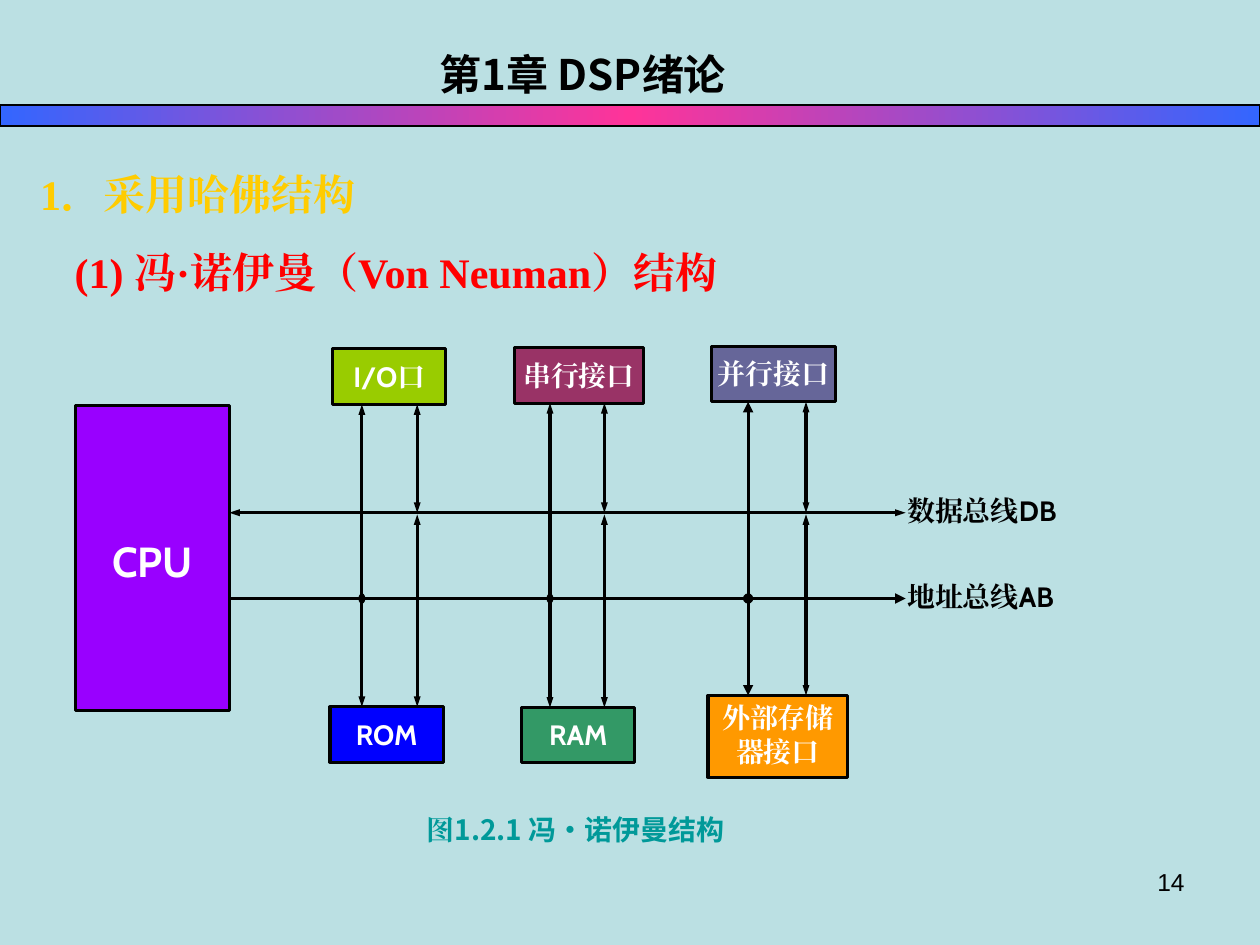
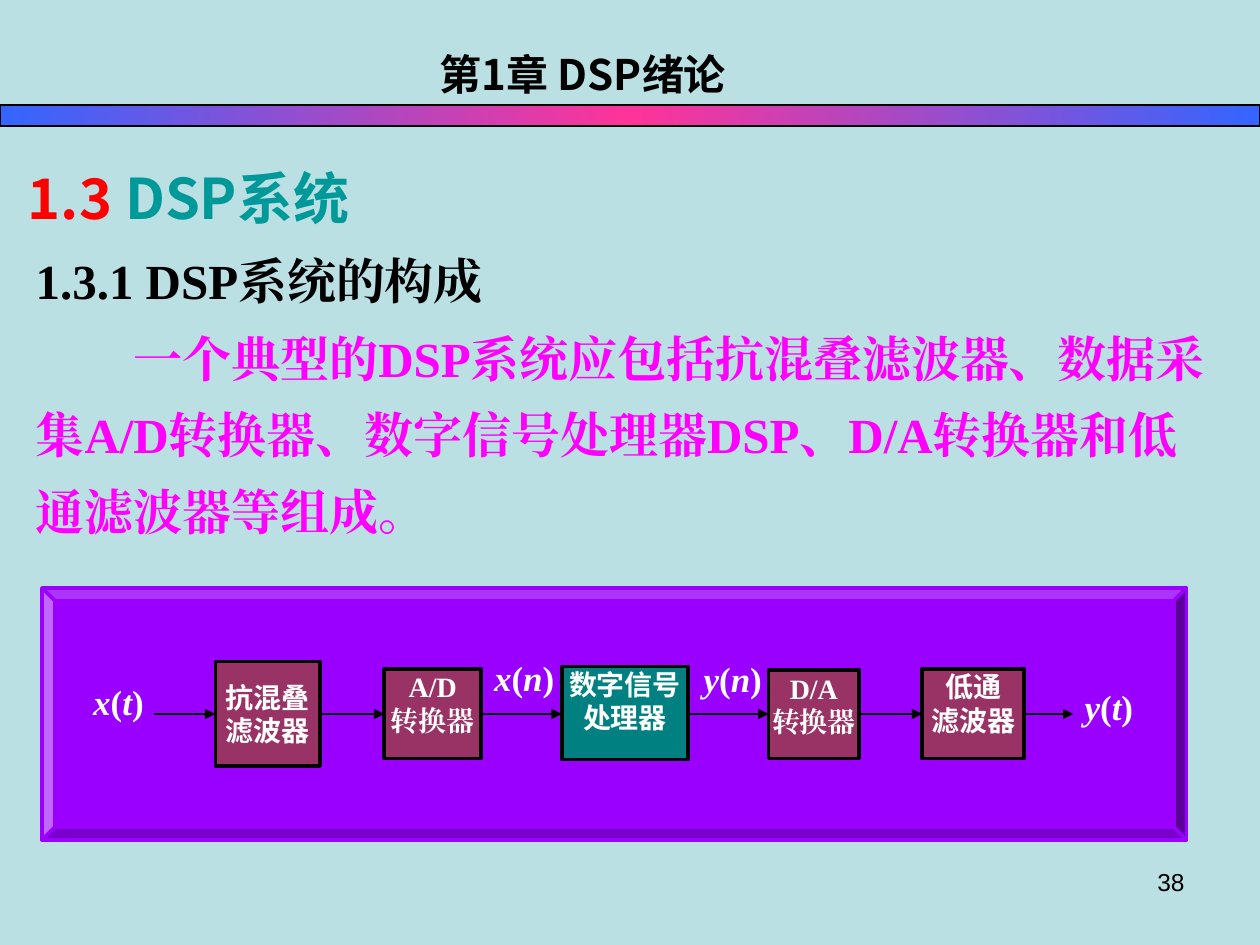
"""Build two DSP lecture slides: the von Neumann structure and a DSP system."""
import copy
import itertools

import pptx
import pptx.dml.color
import pptx.enum.shapes
import pptx.enum.text
import pptx.oxml
import pptx.oxml.ns
import pptx.util

Pt = pptx.util.Pt
qn = pptx.oxml.ns.qn
SHAPE = pptx.enum.shapes.MSO_SHAPE
ALIGN = pptx.enum.text.PP_ALIGN
ANCHOR = pptx.enum.text.MSO_ANCHOR

SANS, SERIF, LABEL, NUMBER = "Noto Sans CJK SC", "Times New Roman", "Cabin", "Arial"
BACKGROUND, BLACK, WHITE = "BBE0E3", "000000", "FFFFFF"
TEAL, RED, GOLD, MAGENTA = "009999", "FF0000", "FFCC00", "FF00FF"
PURPLE, PLUM = "9900FF", "993366"
BAND_STOPS = [(0, "3366FF"), (0.5, "FF3399"), (1, "3366FF")]
CHAPTER = "第1章 DSP绪论"
TITLE_ONLY = 5
DEFAULT_RUN = {"size": 16, "name": SERIF, "color": BLACK, "bold": True}
BOX_INSETS = (0, 6, 0, 3)


def rgb(color):
    """Turn a hex string into a colour value."""
    return pptx.dml.color.RGBColor.from_string(color)


def apply(target, values):
    """Set each attribute of target from a dict."""
    for key, value in values.items():
        setattr(target, key, value)


def format_run(run, style):
    """Give a run its font, for Latin and East Asian text alike."""
    values = {**DEFAULT_RUN, **style}
    run.font.color.rgb = rgb(values.pop("color"))
    values["size"] = Pt(values["size"])
    apply(run.font, values)
    east_asian = pptx.oxml.parse_xml(
        f'<a:ea {pptx.oxml.ns.nsdecls("a")} typeface="{values["name"]}"/>')
    run.font._element.find(qn("a:latin")).addnext(east_asian)


def write(shape, paragraphs, style, insets=(0, 0, 0, 0), align=ALIGN.LEFT,
          anchor=ANCHOR.TOP, spacing=None, indent=0):
    """Fill a shape with paragraphs, each a string or a list of (text, style) runs."""
    frame = shape.text_frame
    sides = ("margin_left", "margin_top", "margin_right", "margin_bottom")
    apply(frame, {side: Pt(inset) for side, inset in zip(sides, insets)})
    apply(frame, {"word_wrap": True, "vertical_anchor": anchor,
                  "auto_size": pptx.enum.text.MSO_AUTO_SIZE.NONE})
    for number, runs in enumerate(paragraphs):
        paragraph = frame.add_paragraph() if number else frame.paragraphs[0]
        apply(paragraph, {"alignment": align, "line_spacing": spacing})
        if indent:
            paragraph._p.get_or_add_pPr().set("indent", str(Pt(indent)))
        for text, changes in ([(runs, {})] if isinstance(runs, str) else runs):
            run = paragraph.add_run()
            run.text = text
            format_run(run, {**style, **changes})


def add_text(slide, place, paragraphs, style, **layout):
    """Add a text box at (left, top, width, height)."""
    label = slide.shapes.add_textbox(*map(Pt, place))
    write(label, paragraphs, style, **layout)


def add_box(slide, place, fill, line=BLACK, weight=1.75, kind=SHAPE.RECTANGLE):
    """Add an outlined, filled shape without shadow."""
    box = slide.shapes.add_shape(kind, *map(Pt, place))
    box.shadow.inherit = False
    box.fill.solid()
    box.fill.fore_color.rgb = rgb(fill)
    box.line.color.rgb = rgb(line)
    box.line.width = Pt(weight)
    return box


def add_block(slide, place, fill, paragraphs, weight=1.75, anchor=ANCHOR.TOP,
              insets=BOX_INSETS, **style):
    """Add a diagram block with centred white text."""
    block = add_box(slide, place, fill, weight=weight)
    write(block, paragraphs, {"color": WHITE, **style}, insets=insets,
          align=ALIGN.CENTER, anchor=anchor)


def add_line(slide, start, end, weight=1.75, head=None, tail="triangle", width="sm"):
    """Draw a straight line with optional arrowheads."""
    line = slide.shapes.add_connector(
        pptx.enum.shapes.MSO_CONNECTOR.STRAIGHT, *map(Pt, (*start, *end)))
    line.line.color.rgb = rgb(BLACK)
    line.line.width = Pt(weight)
    outline = line.line._get_or_add_ln()
    for tag, kind in (("a:headEnd", head), ("a:tailEnd", tail)):
        if kind:
            mark = outline.makeelement(qn(tag), {"type": kind, "w": width, "len": "med"})
            outline.append(mark)
    properties = line._element.spPr
    properties.append(properties.makeelement(qn("a:effectLst"), {}))


def add_band(slide):
    """Add the gradient band below the chapter title."""
    band = add_box(slide, (0, 60, 720, 12), BLACK, weight=1)
    band.fill.gradient()
    band.fill.gradient_angle = 0
    stop_list = band._element.spPr.find(".//" + qn("a:gsLst"))
    stop_list.append(copy.deepcopy(stop_list[0]))
    for stop, (position, color) in zip(band.fill.gradient_stops, BAND_STOPS):
        stop.position = position
        stop.color.rgb = rgb(color)


def add_page(deck, number):
    """Add a slide with chapter title, band and page number."""
    slide = deck.slides.add_slide(deck.slide_layouts[TITLE_ONLY])
    slide.background.fill.solid()
    slide.background.fill.fore_color.rgb = rgb(BACKGROUND)
    chapter = slide.shapes.title
    places = zip(("left", "top", "width", "height"), (192, 24, 282, 36))
    apply(chapter, {side: Pt(length) for side, length in places})
    write(chapter, [CHAPTER], {"size": 24, "name": SANS},
          insets=(7.2, 3.6, 7.2, 3.6), align=ALIGN.CENTER)
    add_band(slide)
    add_text(slide, (516, 492, 168, 37), [str(number)],
             {"size": 14, "name": NUMBER, "bold": False},
             insets=(7.2, 3.6, 7.2, 3.6), align=ALIGN.RIGHT)
    return slide


def add_buses(slide):
    """Draw CPU, both buses and the devices that hang on them."""
    data_y, address_y, bus_end = 293, 342, 517.5
    add_block(slide, (43.2, 231.8, 87.8, 174.2), PURPLE, ["CPU"],
              anchor=ANCHOR.MIDDLE, size=24, name=LABEL)
    add_line(slide, (131, data_y), (bus_end, data_y), 2, head="triangle")
    add_line(slide, (131, address_y), (bus_end, address_y), 2, width="med")
    for bus_y, name, code in ((data_y, "数据总线", "DB"), (address_y, "地址总线", "AB")):
        add_text(slide, (517, bus_y - 14, 95, 32), [[(name, {}), (code, {"name": LABEL})]],
                 {}, insets=(1.4, 3, 1.4, 3))

    columns = [
        ((190.1, 199.4, 64.8, 31.7), "99CC00", [[("I/O", {"name": LABEL}), ("口", {})]],
         (188.6, 403.9, 64.8, 31.7), "0000FF", [[("ROM", {"name": LABEL})]],
         206.8, 238.4, "sm"),
        ((293.8, 198.7, 74.2, 31.7), PLUM, ["串行接口"],
         (298.1, 404.3, 64.8, 31.7), "339966", [[("RAM", {"name": LABEL})]],
         314.3, 345.4, "sm"),
        ((406.8, 198, 70.6, 31.7), "666699", ["并行接口"],
         (404.6, 397.4, 79.9, 46.8), "FF9900", ["外部存储", "器接口"],
         427.5, 460.6, "med"),
    ]
    for (port, port_fill, port_text, memory, memory_fill, memory_text,
         address_x, data_x, head_width) in columns:
        add_block(slide, port, port_fill, port_text)
        memory_insets = BOX_INSETS if len(memory_text) == 1 else (0, 3, 0, 3)
        add_block(slide, memory, memory_fill, memory_text, insets=memory_insets)
        port_y, memory_y = port[1] + port[3], memory[1]
        add_line(slide, (data_x, port_y), (data_x, data_y), head="triangle")
        add_line(slide, (data_x, memory_y), (data_x, data_y + 1), head="triangle")
        add_line(slide, (address_x, port_y), (address_x, address_y),
                 head="triangle", tail=None, width=head_width)
        add_line(slide, (address_x, memory_y), (address_x, address_y),
                 head="triangle", tail="oval", width=head_width)


def add_signal_chain(slide):
    """Draw the processing stages, the arrows between them and the signals."""
    panel = add_box(slide, (24, 336, 654, 144), PURPLE, PURPLE, 2, SHAPE.BEVEL)
    panel.adjustments[0] = 0.05
    stages = [
        ((123.1, 378, 59.8, 59.8), PLUM, ["抗混叠", "滤波器"], SANS, ANCHOR.MIDDLE),
        ((219.6, 382.3, 55.4, 51.1), PLUM, ["A/D", "转换器"], SERIF, ANCHOR.TOP),
        ((321.1, 380.9, 72, 53.3), "008080", ["数字信号处理器"], SANS, ANCHOR.TOP),
        ((439.2, 383, 51.8, 50.4), PLUM, ["D/A", "转换器"], SERIF, ANCHOR.TOP),
        ((527, 382.3, 58.3, 51.1), PLUM, ["低通", "滤波器"], SANS, ANCHOR.TOP),
    ]
    for place, fill, lines, font, anchor in stages:
        add_block(slide, place, fill, lines, 2, anchor, (0, 0.5, 0, 0.5), name=font)
    edges = [87.8]
    for (left, _, width, _), *_ in stages:
        edges += [left, left + width]
    edges.append(613.4)
    for start, end in itertools.batched(edges, 2) if hasattr(itertools, "batched") \
            else zip(edges[::2], edges[1::2]):
        add_line(slide, (start, 408), (end, 408), 1.25, width="med")

    signals = [("x", "t", (48.2, 388, 39, 40)), ("x", "n", (272.2, 374.4, 54.7, 31)),
               ("y", "n", (394.6, 375, 48.2, 31)), ("y", "t", (607, 391, 53.3, 34))]
    italic = {"italic": True}
    for signal, variable, place in signals:
        add_text(slide, place, [[(signal, italic), ("(", {}), (variable, italic), (")", {})]],
                 {"size": 20, "color": WHITE}, insets=(1.4, 0.7, 1.4, 0.7),
                 align=ALIGN.CENTER)


def build_von_neumann(deck):
    """Build the slide on the von Neumann structure."""
    slide = add_page(deck, 14)
    add_text(slide, (0, 93, 414, 40), ["1．采用哈佛结构"], {"size": 24, "color": GOLD},
             insets=(23, 3.6, 7.2, 3.6))
    add_text(slide, (0, 126, 684, 47.5), ["(1) 冯·诺伊曼（Von Neuman）结构"],
             {"size": 24, "color": RED}, insets=(42.7, 3.6, 7.2, 3.6), spacing=1.4)
    add_buses(slide)
    add_text(slide, (244, 461.5, 230, 42.5),
             [[("图", {}), ("1.2.1 冯·诺伊曼结构", {"name": SANS})]],
             {"color": TEAL}, insets=(0, 3, 0, 3))


def build_dsp_system(deck):
    """Build the slide on the parts of a DSP system."""
    slide = add_page(deck, 38)
    add_text(slide, (0, 90, 360, 46), [[("1.3 ", {"color": RED}), ("DSP系统", {})]],
             {"size": 32, "name": SANS, "color": TEAL}, insets=(16, 3.6, 7.2, 3.6))
    body_insets = (14.4, 3.6, 7.2, 3.6)
    add_text(slide, (6, 138, 690, 42.5), ["1.3.1 DSP系统的构成"], {"size": 28},
             insets=body_insets, spacing=1.05)
    add_text(slide, (6, 174, 690, 138),
             ["一个典型的DSP系统应包括抗混叠滤波器、数据采集A/D转换器、"
              "数字信号处理器DSP、D/A转换器和低通滤波器等组成。"],
             {"size": 28, "color": MAGENTA}, insets=body_insets, spacing=1.3, indent=56)
    add_signal_chain(slide)


def main():
    """Create the deck and save it."""
    deck = pptx.Presentation()
    apply(deck, {"slide_width": Pt(720), "slide_height": Pt(540)})
    build_von_neumann(deck)
    build_dsp_system(deck)
    deck.save("out.pptx")


if __name__ == "__main__":
    main()
